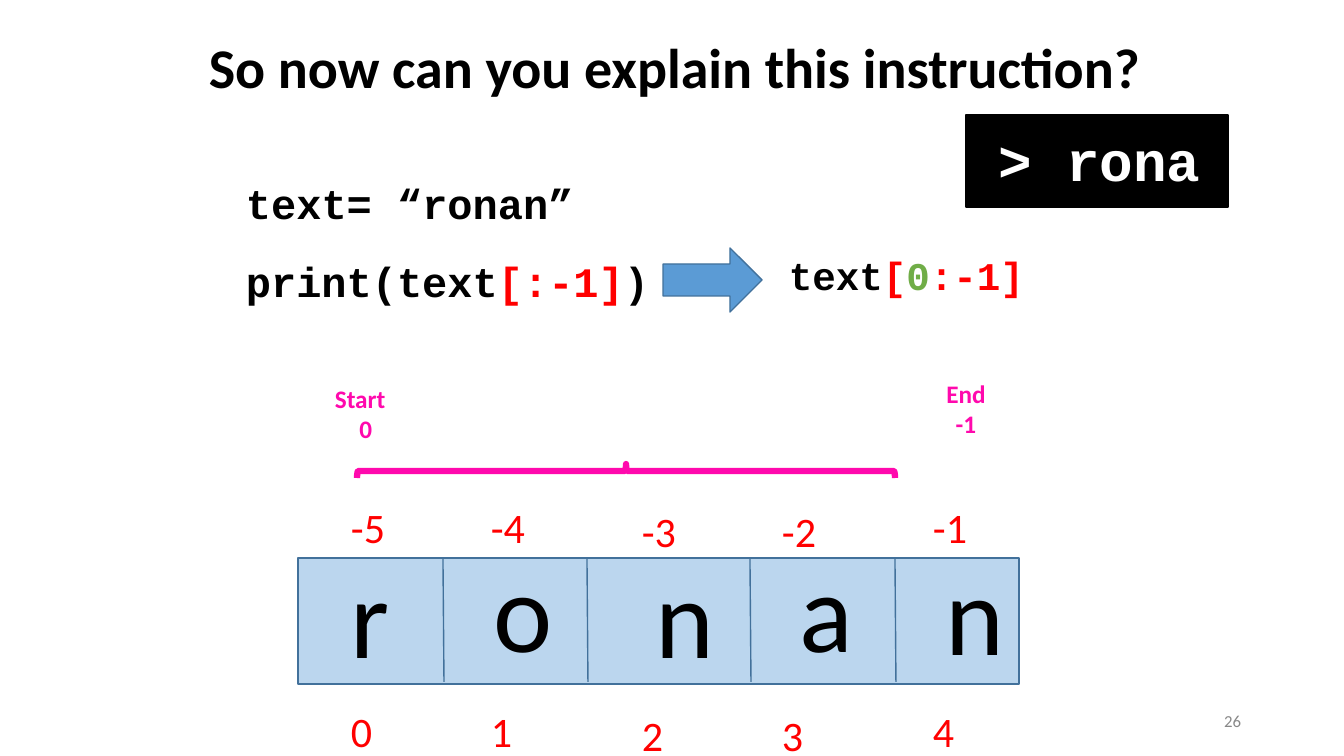
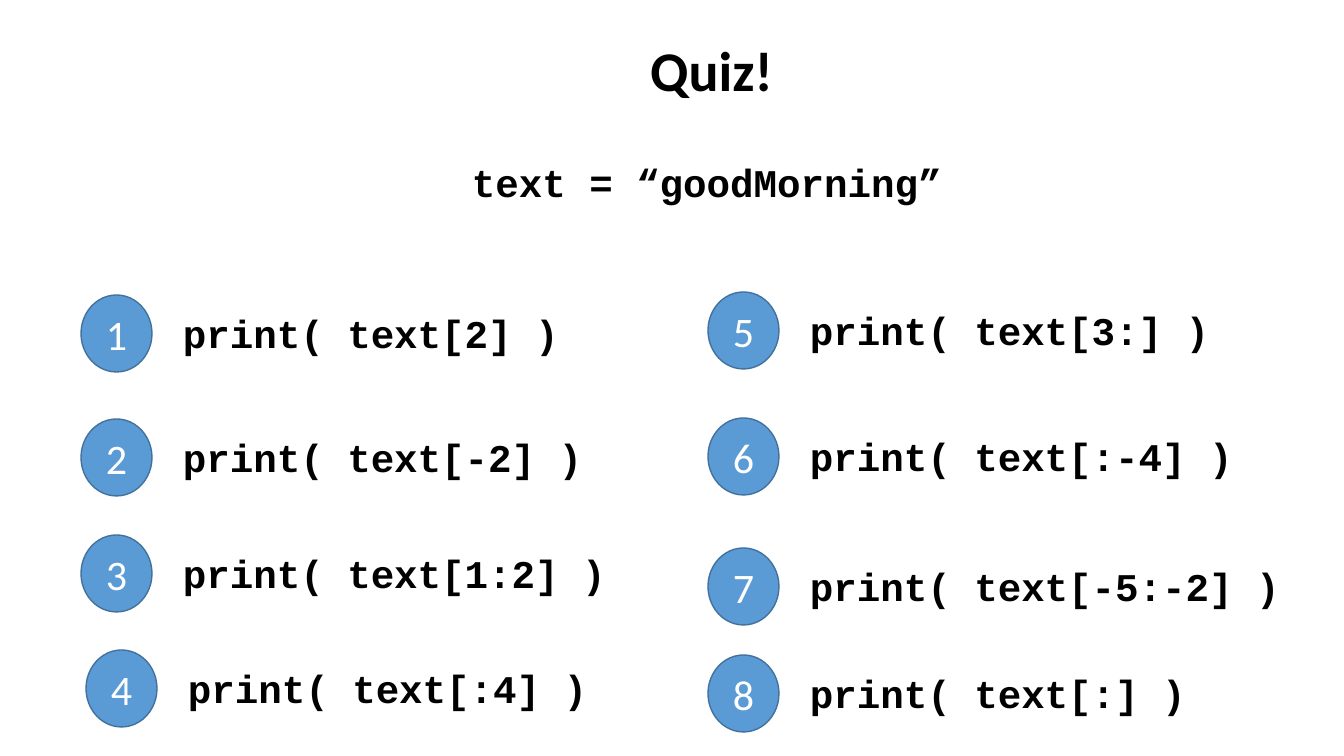
from dataclasses import dataclass
from lxml import etree
from pptx import Presentation
from pptx import util as u
from pptx.dml.color import RGBColor
from pptx.enum import shapes, text
from pptx.oxml.ns import qn

SCALE = 914400 / 100.8  # EMU in one pixel


@dataclass(frozen=True)
class Theme:
    """Colours, fonts and type sizes of the deck."""
    sans: str = "Calibri"
    mono: str = "Courier New"
    ink: str = "000000"
    paper: str = "FFFFFF"
    grey: str = "888888"
    blue: str = "5B9BD5"
    edge: str = "42719B"
    pale: str = "BBD6EE"
    red: str = "FF0000"
    green: str = "70AD47"
    pink: str = "FF09AD"
    title: int = 40
    code: int = 30
    line_code: int = 28
    index: int = 30
    letter: int = 80
    label: int = 18
    footer: int = 12


THEME = Theme()


def px(value):
    """Turn pixels into EMU."""
    return u.Emu(round(value * SCALE))


def color(value):
    """Turn a hex value into a colour."""
    return RGBColor.from_string(value)


def write(frame, lines, size, font=THEME.sans, ink=THEME.ink, bold=False,
          align="LEFT", anchor="TOP", wrap=False):
    """Fill a text frame; a line is a string or a list of (string, colour)."""
    frame.word_wrap = wrap
    frame.vertical_anchor = getattr(text.MSO_ANCHOR, anchor)
    for number, line in enumerate([lines] if isinstance(lines, str) else lines):
        para = frame.add_paragraph() if number else frame.paragraphs[0]
        para.alignment = getattr(text.PP_ALIGN, align)
        for words, tint in [(line, ink)] if isinstance(line, str) else line:
            span = para.add_run()
            span.text = words
            span.font.size, span.font.name, span.font.bold = u.Pt(size), font, bold
            span.font.color.rgb = color(tint)


def add_text(page, box, lines, size, grow=True, **style):
    """Add a text box that grows with its text."""
    frame = page.shapes.add_textbox(*map(px, box)).text_frame
    write(frame, lines, size, **style)
    if grow:
        frame.auto_size = text.MSO_AUTO_SIZE.SHAPE_TO_FIT_TEXT


def add_code(page, box, lines, size=THEME.line_code, ink=THEME.ink):
    """Add bold monospaced text."""
    add_text(page, box, lines, size, font=THEME.mono, ink=ink, bold=True)


def add_shape(page, kind, box, fill=None, line=THEME.edge, weight=1):
    """Add a flat preset shape."""
    shape = page.shapes.add_shape(getattr(shapes.MSO_SHAPE, kind), *map(px, box))
    shape.shadow.inherit = False
    if fill:
        shape.fill.solid()
        shape.fill.fore_color.rgb = color(fill)
    else:
        shape.fill.background()
    shape.line.color.rgb = color(line)
    shape.line.width = u.Pt(weight)
    return shape


def add_line(page, *ends):
    """Add a thin straight line."""
    line = page.shapes.add_connector(shapes.MSO_CONNECTOR.STRAIGHT, *map(px, ends))
    line.line.color.rgb = color(THEME.edge)
    line.line.width = u.Pt(1)
    etree.SubElement(line._element.spPr, qn("a:effectLst"))


def add_title(page, box, words):
    """Add the slide title."""
    add_text(page, box, words, THEME.title, bold=True, align="CENTER")


def add_output(page, box, words):
    """Add a black console panel."""
    left, top, width, height = box
    add_shape(page, "RECTANGLE", box, THEME.ink, THEME.ink)
    add_code(page, (left + 23, top + 6, width - 38, height - 14), words,
             THEME.title, THEME.paper)


def add_instruction(page, box):
    """Add the two code lines, the arrow and the expanded slice."""
    left, top = box[:2]
    add_code(page, (left, top + 78, 427, 61),
             [[("print(text", THEME.ink), ("[:-1]", THEME.red), (")", THEME.ink)]],
             THEME.code)
    add_code(page, (left, top, 351, 61), "text= “ronan”", THEME.code)
    add_shape(page, "RIGHT_ARROW", (left + 427, top + 75, 99, 64), THEME.blue)
    add_code(page, (left + 543, top + 73, 257, 57),
             [[("text", THEME.ink), ("[", THEME.red), ("0", THEME.green),
               (":-1]", THEME.red)]])


def add_letter_strip(page, box, cells):
    """Add a strip of letters, with indexes from the end above and from 0 below.

    A cell is its letter, divider x, letter x and y, letter width, index x and drop.
    """
    left, top, _, height = box
    add_shape(page, "RECTANGLE", box, THEME.pale)
    for number, (letter, divider, x, y, width, index_x, drop) in enumerate(cells):
        if number:
            add_line(page, left + divider, top, left + divider + 1, top + height - 2)
        add_text(page, (left + x, top + y, width, 146), letter, THEME.letter)
        for index, index_y, index_width in ((number - len(cells), -61, 54),
                                            (number, height + 17, 42)):
            add_text(page, (left + index_x, top + index_y + drop, index_width, 61),
                     str(index), THEME.index, ink=THEME.red)


def add_range(page, box):
    """Add the brace over the selected letters and its start and end labels."""
    left, top, width, height = box
    for label_box, lines in (((left - 33, top - 86, 78, 72), ["Start ", " 0"]),
                             ((left + 574, top - 91, 70, 72), ["End", "-1"])):
        add_text(page, label_box, lines, THEME.label, ink=THEME.pink, bold=True,
                 align="CENTER")
    upright = (left + (width - height) / 2, top + (height - width) / 2, height, width)
    brace = add_shape(page, "LEFT_BRACE", upright, line=THEME.pink, weight=4.5)
    brace.rotation = 90
    brace.adjustments[0] = 0.083


def add_question(page, box, number, words):
    """Add a numbered circle with its code line."""
    left, top, width, _ = box
    circle = add_shape(page, "OVAL", box, THEME.blue)
    write(circle.text_frame, str(number), THEME.index, ink=THEME.paper,
          align="CENTER", anchor="MIDDLE", wrap=True)
    code_width = round(len(words) * THEME.line_code * 0.84) + 20
    add_code(page, (left + width + 21, top + 9, code_width, 57), words)


def build_explanation(page):
    """Build the slide that explains the slice."""
    add_title(page, (193, 28, 963, 78), "So now can you explain this instruction?")
    add_text(page, (949, 701, 302, 40), "26", THEME.footer, grow=False,
             ink=THEME.grey, align="RIGHT", anchor="MIDDLE", wrap=True)
    add_instruction(page, (236, 173, 800, 139))
    add_output(page, (966, 115, 262, 92), "> rona")
    add_letter_strip(page, (298, 558, 721, 126), (
        ("r", 0, 43, -16, 60, 43, 0),
        ("o", 145, 186, -22, 80, 183, 0),
        ("n", 289, 348, -16, 80, 334, 4),
        ("a", 452, 492, -22, 75, 474, 4),
        ("n", 597, 638, -19, 80, 625, 0)))
    add_range(page, (357, 464, 538, 14))


def build_quiz(page):
    """Build the slide with two columns of questions."""
    add_title(page, (624, 31, 175, 78), "Quiz!")
    add_code(page, (462, 153, 494, 57), "text = “goodMorning”")
    questions = (
        (81, 295, "[2]"), (81, 419, "[-2]"), (81, 535, "[1:2]"), (86, 650, "[:4]"),
        (708, 292, "[3:]"), (708, 418, "[:-4]"), (708, 548, "[-5:-2]"),
        (708, 655, "[:]"))
    for number, (left, top, part) in enumerate(questions, 1):
        add_question(page, (left, top, 71, 77), number, f"print( text{part} )")


deck = Presentation()
deck.slide_width, deck.slide_height = px(1344), px(756)
for build in (build_explanation, build_quiz):
    build(deck.slides.add_slide(deck.slide_layouts[6]))
deck.save("out.pptx")
